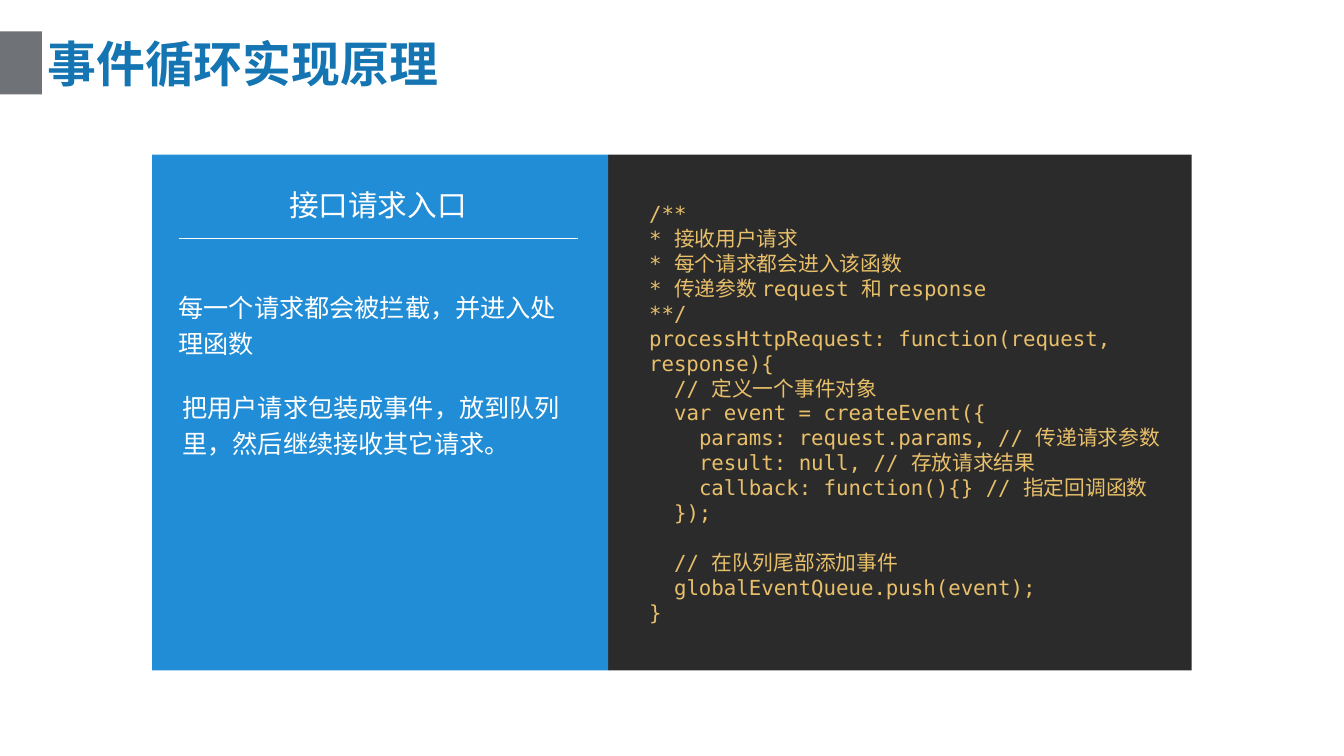
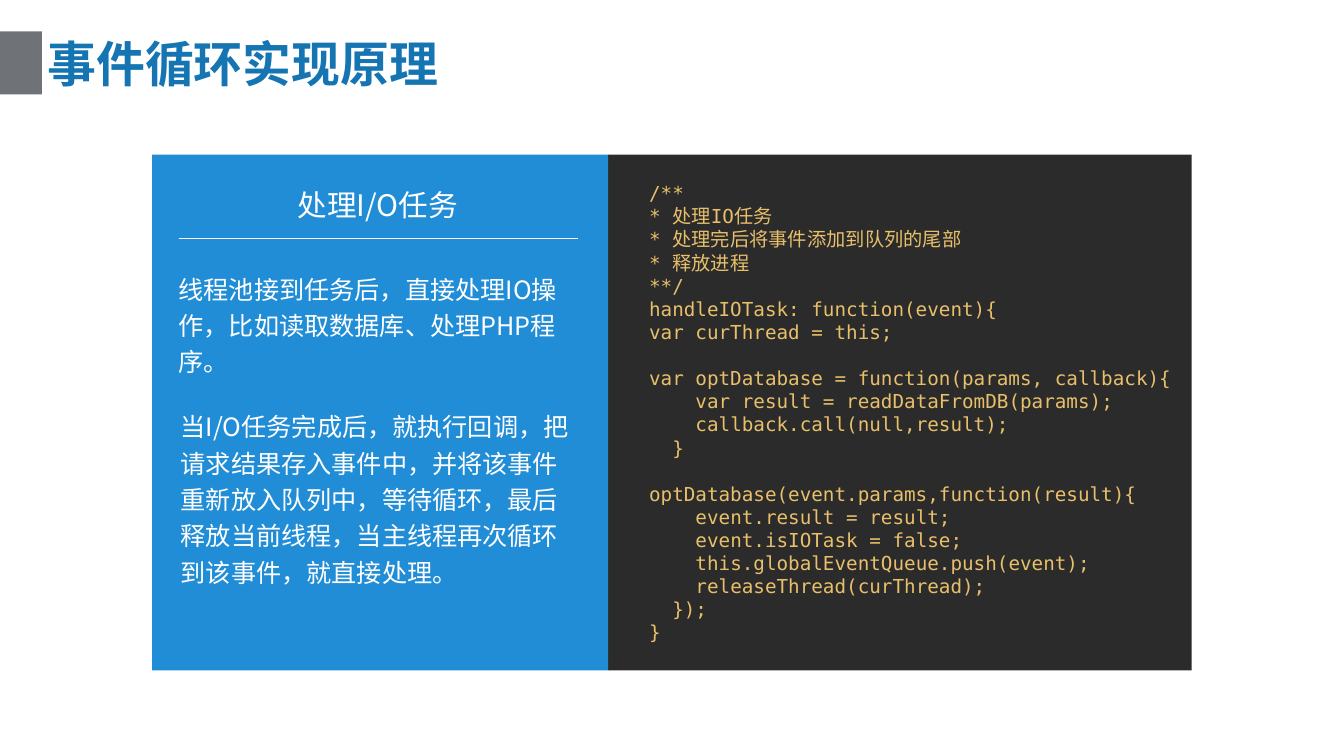
from lxml import etree
from pptx import Presentation
from pptx.dml.color import RGBColor
from pptx.enum.shapes import MSO_CONNECTOR, MSO_SHAPE
from pptx.enum.text import MSO_ANCHOR, MSO_AUTO_SIZE, PP_ALIGN
from pptx.oxml.ns import qn
from pptx.util import Cm, Pt

RECT = MSO_SHAPE.RECTANGLE
LINE = MSO_CONNECTOR.STRAIGHT
MID = MSO_ANCHOR.MIDDLE
GROW = MSO_AUTO_SIZE.SHAPE_TO_FIT_TEXT
LEFT, CENTER = PP_ALIGN.LEFT, PP_ALIGN.CENTER

HEX = {"band": "6F7378", "title": "1475B2", "panel": "218DD6",
       "dark": "2B2B2B", "code": "E8BF6A", "white": "FFFFFF"}
SANS, MONO = "Noto Sans CJK SC", "DejaVu Sans Mono"

# Text styles: font attributes, then the colour
HEAD = {"size": Pt(66), "name": SANS, "bold": True}, "title"
SUB = {"size": Pt(40), "name": SANS}, "white"
NOTE = {"size": Pt(34), "name": SANS}, "white"

# Layout in cm
TOP, HIGH = 7.37, 24.56
PANEL_X, PANEL_W, CODE_W = 7.24, 21.72, 27.79
INDENT = 1.7
CHAR = 0.602   # width of one code letter, in ems
PITCH = 1.2    # line height of code, in ems

TITLE = "事件循环实现原理"

ENTRY = """/**
* 接收用户请求
* 每个请求都会进入该函数
* 传递参数 request 和 response
**/
processHttpRequest: function(request, response){
  // 定义一个事件对象
  var event = createEvent({
    params: request.params, // 传递请求参数
    result: null, // 存放请求结果
    callback: function(){} // 指定回调函数
  });

  // 在队列尾部添加事件
  globalEventQueue.push(event);
}"""

TASK = """/**
* 处理IO任务
* 处理完后将事件添加到队列的尾部
* 释放进程
**/
handleIOTask: function(event){
var curThread = this;

var optDatabase = function(params, callback){
    var result = readDataFromDB(params);
    callback.call(null,result);
  }

optDatabase(event.params,function(result){
    event.result = result;
    event.isIOTask = false;
    this.globalEventQueue.push(event);
    releaseThread(curThread);
  });
}"""

# Each slide: heading, code, code size, notes as (left, top, height, text)
PAGES = [
    ("接口请求入口", ENTRY, 28, [
        (8.33, 13.5, 3.73, "每一个请求都会被拦截，并进入处理函数"),
        (8.51, 18.25, 3.73,
         "把用户请求包装成事件，放到队列里，然后继续接收其它请求。"),
    ]),
    ("处理I/O任务", TASK, 26, [
        (8.33, 12.6, 5.49,
         "线程池接到任务后，直接处理IO操作，比如读取数据库、处理PHP程序。"),
        (8.43, 19.15, 8.97,
         "当I/O任务完成后，就执行回调，把请求结果存入事件中，并将该事件"
         "重新放入队列中，等待循环，最后释放当前线程，当主线程再次循环"
         "到该事件，就直接处理。"),
    ]),
]


def color(key):
    return RGBColor.from_string(HEX[key])


def apply(item, form):
    for key, value in form.items():
        setattr(item, key, value)


def write(par, text, style):
    """Add one styled run to a paragraph."""
    form, tint = style
    run = par.add_run()
    run.text = text
    apply(run.font, form)
    run.font.color.rgb = color(tint)
    east = etree.SubElement(run.font._element, qn("a:ea"))
    east.set("typeface", SANS)


def block(slide, x, y, w, h, tint):
    """Add a plain filled rectangle."""
    box = slide.shapes.add_shape(RECT, Cm(x), Cm(y), Cm(w), Cm(h))
    box.shadow.inherit = False
    box.fill.solid()
    box.fill.fore_color.rgb = color(tint)
    box.line.fill.background()
    return box


def label(slide, x, y, w, h, text, style, **form):
    """Add a text box with one paragraph."""
    frame = slide.shapes.add_textbox(Cm(x), Cm(y), Cm(w), Cm(h)).text_frame
    sides = ("left", "top", "right", "bottom")
    apply(frame, {f"margin_{side}": Cm(0.18) for side in sides})
    apply(frame, {"word_wrap": True, "auto_size": GROW,
                  "vertical_anchor": MID})
    par = frame.paragraphs[0]
    apply(par, form)
    write(par, text, style)


def rule(slide, x, y, end):
    """Add a thin white line."""
    line = slide.shapes.add_connector(LINE, Cm(x), Cm(y), Cm(end), Cm(y))
    line.line.color.rgb = color("white")
    line.line.width = Pt(1)
    etree.SubElement(line._element.spPr, qn("a:effectLst"))


def listing(slide, code, size):
    """Add the dark panel; leading blanks become indents, gaps spacing."""
    box = block(slide, PANEL_X + PANEL_W, TOP, CODE_W, HIGH, "dark")
    frame = box.text_frame
    apply(frame, {"word_wrap": True, "vertical_anchor": MID})
    style = {"size": Pt(size), "name": MONO}, "code"
    pitch = Pt(size * PITCH)
    par, gap = frame.paragraphs[0], 0
    for num, row in enumerate(code.split("\n")):
        text = row.lstrip()
        if not text:
            gap = pitch
            continue
        if num:
            par = frame.add_paragraph()
        apply(par, {"alignment": LEFT, "line_spacing": pitch,
                    "space_before": gap})
        step = Pt((len(row) - len(text)) * size * CHAR)
        props = par._p.get_or_add_pPr()
        props.set("marL", str(Cm(INDENT) + step))
        props.set("indent", "0")
        write(par, text, style)
        gap = 0


def title(slide, text):
    """Place and format the title placeholder."""
    head = slide.shapes.title
    apply(head, {"left": Cm(2), "top": Cm(1.45),
                 "width": Cm(60), "height": Cm(3.05)})
    frame = head.text_frame
    apply(frame, {"vertical_anchor": MID, "word_wrap": True,
                  "auto_size": MSO_AUTO_SIZE.NONE})
    par = frame.paragraphs[0]
    par.alignment = LEFT
    write(par, text, HEAD)


def page(deck, layout, head, code, size, notes):
    slide = deck.slides.add_slide(layout)
    title(slide, TITLE)
    listing(slide, code, size)
    # Blue panel with heading and notes
    block(slide, PANEL_X, TOP, PANEL_W, HIGH, "panel")
    label(slide, 8.89, 8.71, 18.21, 2.08, head, SUB, alignment=CENTER)
    rule(slide, 8.5, 11.33, 27.5)
    for x, y, h, text in notes:
        label(slide, x, y, 19.33, h, text, NOTE, line_spacing=Pt(49))
    return slide


def main():
    deck = Presentation()
    apply(deck, {"slide_width": Cm(64), "slide_height": Cm(36)})
    layout = deck.slide_layouts[5]
    slides = [page(deck, layout, *data) for data in PAGES]
    # The grey band belongs to the shared layout
    band = block(slides[0], 0, 1.5, 2, 3, "band")
    layout.shapes.element.append(band._element)
    deck.save("out.pptx")


if __name__ == "__main__":
    main()
